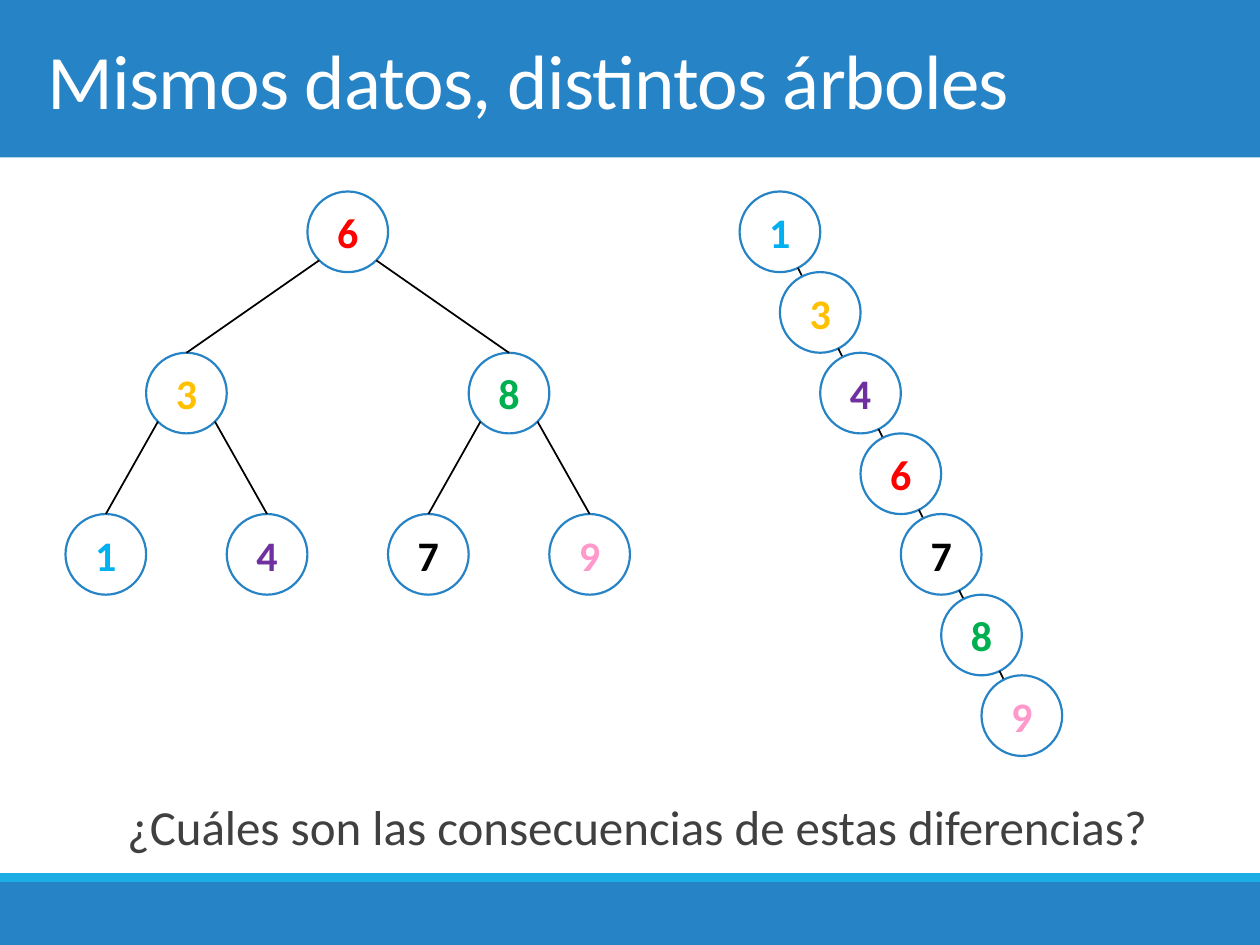
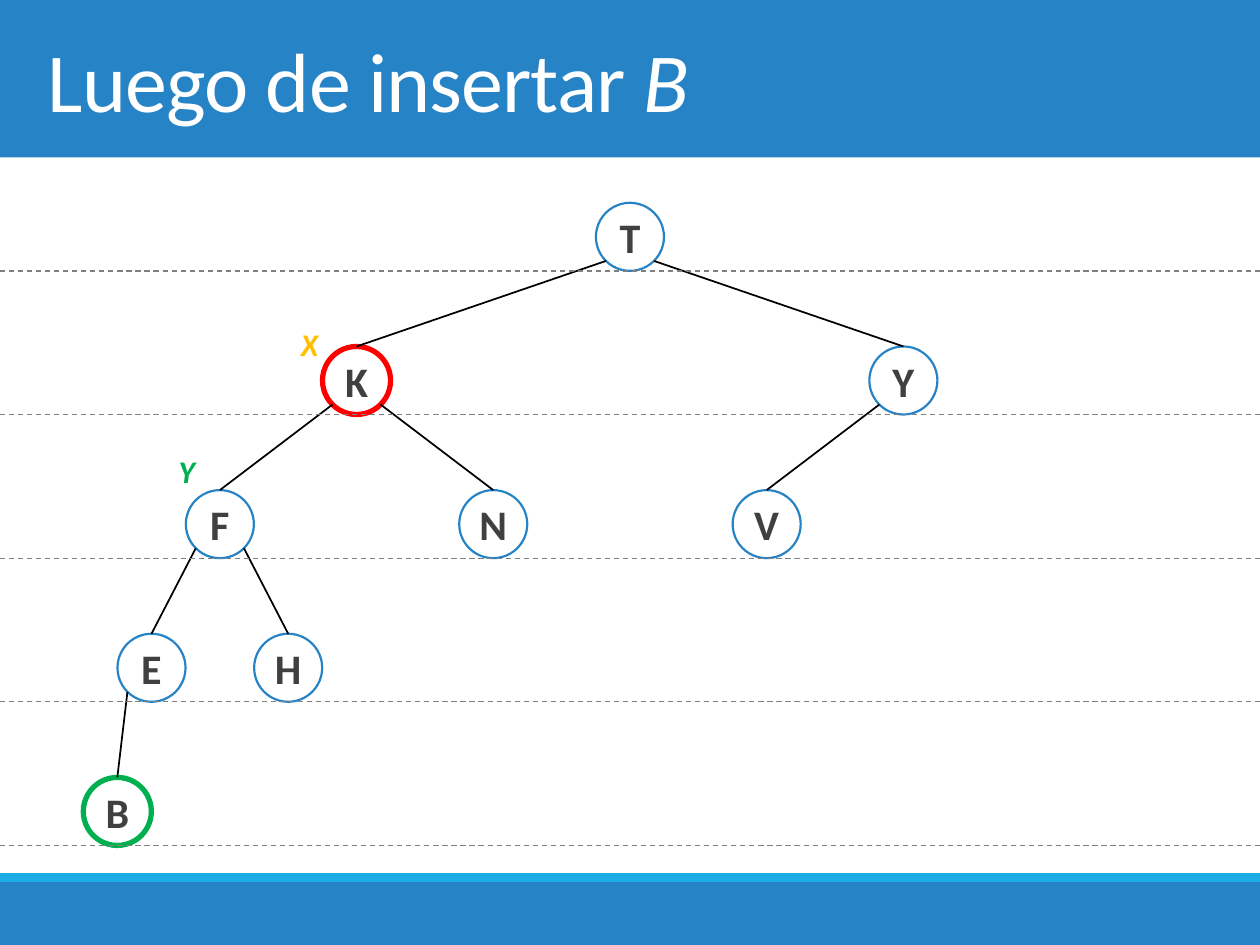
from math import hypot, sqrt

from lxml.etree import SubElement
from pptx import Presentation
from pptx.dml.color import RGBColor
from pptx.enum.dml import MSO_LINE
from pptx.enum.shapes import MSO_CONNECTOR, MSO_SHAPE
from pptx.enum.text import MSO_ANCHOR, PP_ALIGN
from pptx.oxml.ns import qn
from pptx.util import Inches, Pt

BLUE, CYAN, WHITE, BLACK = "2683C6", "1CADE4", "FFFFFF", "000000"
DARK, GREY, RED, GREEN, GOLD = "404040", "808080", "FF0000", "00B050", "FFC000"
FONT = "Calibri"

# left, top, width, height, colour
BANDS = [(0, 0, 10, 1.25, BLUE), (0, 7, 10, 0.5, BLUE), (0, 6.93, 10, 0.07, CYAN)]

# Each tree is (key, left subtree, right subtree)
DIGITS = ("6", ("3", ("1",), ("4",)), ("8", ("7",), ("9",)))
CHAIN = "1346789"
INKS = {"1": "00B0F0", "3": GOLD, "4": "7030A0", "6": RED,
        "7": BLACK, "8": GREEN, "9": "FF99CC"}
QUESTION = "¿Cuáles son las consecuencias de estas diferencias?"

LETTERS = ("T", ("K", ("F", ("E", ("B",)), ("H",)), ("N",)), ("Y", ("V",)))
RINGS = {"K": RED, "B": GREEN}
MARKS = [("X", 2.29, 2.53, GOLD), ("Y", 1.32, 3.54, GREEN)]

# size: node diameter; gap: sideways step below the root; drop: step per level
WIDE = {"size": 0.64, "gap": 1.28, "drop": 1.28}
DEEP = {"size": 0.54, "gap": 2.17, "drop": 1.14}
ROOT = (5, 1.88)


def tint(code):
    return RGBColor.from_string(code)


def box(*sides):
    return [Inches(side) for side in sides]


def put(item, **values):
    for name, value in values.items():
        setattr(item, name, value)


def stroke(line, code, width):
    line.color.rgb = tint(code)
    line.width = Pt(width)


def write(par, text, code, size, **style):
    run = par.add_run()
    run.text = text
    put(run.font, name=FONT, size=Pt(size), **style)
    run.font.color.rgb = tint(code)
    return run


def shape(slide, kind, spot, code):
    item = slide.shapes.add_shape(kind, *box(*spot))
    item.shadow.inherit = False
    item.fill.solid()
    item.fill.fore_color.rgb = tint(code)
    item.line.fill.background()
    return item


def link(slide, start, end, code=BLACK, width=1):
    line = slide.shapes.add_connector(MSO_CONNECTOR.STRAIGHT, *box(*start, *end))
    stroke(line.line, code, width)
    SubElement(line._element.spPr, qn("a:effectLst"))
    return line


def node(slide, key, x, y, size, ink=DARK, ring=None):
    """Draw a circle centred on x, y."""
    spot = (x - size / 2, y - size / 2, size, size)
    disc = shape(slide, MSO_SHAPE.OVAL, spot, WHITE)
    stroke(disc.line, ring or BLUE, 3 if ring else 1.25)
    frame = disc.text_frame
    put(frame, margin_left=0, margin_right=0, margin_top=0, margin_bottom=0,
        vertical_anchor=MSO_ANCHOR.MIDDLE, word_wrap=False)
    par = frame.paragraphs[0]
    par.alignment = PP_ALIGN.CENTER
    write(par, key, ink, 24, bold=True)
    return disc


def tree(slide, plan, x, y, size, gap, drop, inks={}, rings={}):
    """Draw a subtree, halving the sideways step at each level."""
    key, *kids = plan
    disc = node(slide, key, x, y, size, inks.get(key, DARK), rings.get(key))
    reach = size / 2 / sqrt(2)
    for side, kid in zip((-1, 1), kids):
        spot = (x + side * gap, y + drop)
        child = tree(slide, kid, *spot, size, gap / 2, drop, inks, rings)
        top = (spot[0], spot[1] - size / 2)
        line = link(slide, (x + side * reach, y + reach), top)
        line.end_connect(child, 0)
    return disc


def chain(slide, keys, x, y, dx, dy, size):
    """Draw a slanted list, with links only between the rims."""
    part = size / 2 / hypot(dx, dy)
    for i, key in enumerate(keys):
        cx, cy = x + i * dx, y + i * dy
        if i:
            link(slide, (cx - dx * (1 - part), cy - dy * (1 - part)),
                 (cx - dx * part, cy - dy * part))
        node(slide, key, cx, cy, size, INKS[key])


def label(slide, spot, wrap=True, anchor=MSO_ANCHOR.TOP):
    frame = slide.shapes.add_textbox(*box(*spot)).text_frame
    put(frame, word_wrap=wrap, vertical_anchor=anchor)
    return frame.paragraphs[0]


def page(deck, size, *parts):
    """Add a slide with bands and a title made of (text, italic) parts."""
    slide = deck.slides.add_slide(deck.slide_layouts[6])
    for *spot, code in BANDS:
        shape(slide, MSO_SHAPE.RECTANGLE, spot, code)
    par = label(slide, (0.28, 0, 9.45, 1.25), anchor=MSO_ANCHOR.MIDDLE)
    for text, italic in parts:
        run = write(par, text, WHITE, size, italic=italic)
        run._r.get_or_add_rPr().set("spc", "-50")
    return slide


def compare(deck):
    slide = page(deck, 44, ("Mismos datos, distintos árboles", False))
    par = label(slide, (0.28, 6.04, 9.45, 0.73))
    put(par, alignment=PP_ALIGN.CENTER, line_spacing=1.5,
        space_before=Pt(12), space_after=Pt(2))
    par._p.get_or_add_pPr().set("marL", str(Inches(0.1)))
    write(par, QUESTION, DARK, 28)
    tree(slide, DIGITS, 2.76, 1.84, **WIDE, inks=INKS)
    chain(slide, CHAIN, 6.19, 1.84, 0.32, 0.64, WIDE["size"])


def insert(deck):
    slide = page(deck, 48, ("Luego de insertar ", False), ("B", True))
    tree(slide, LETTERS, *ROOT, **DEEP, rings=RINGS)
    for level in range(5):
        y = ROOT[1] + DEEP["size"] / 2 + level * DEEP["drop"]
        rule = link(slide, (0, y), (10, y), GREY, 0.75)
        rule.line.dash_style = MSO_LINE.DASH
    for text, x, y, code in MARKS:
        par = label(slide, (x, y, 0.34, 0.4), wrap=False)
        write(par, text, code, 18, bold=True, italic=True)


def main():
    deck = Presentation()
    put(deck, slide_width=Inches(10), slide_height=Inches(7.5))
    compare(deck)
    insert(deck)
    deck.save("out.pptx")


if __name__ == "__main__":
    main()
